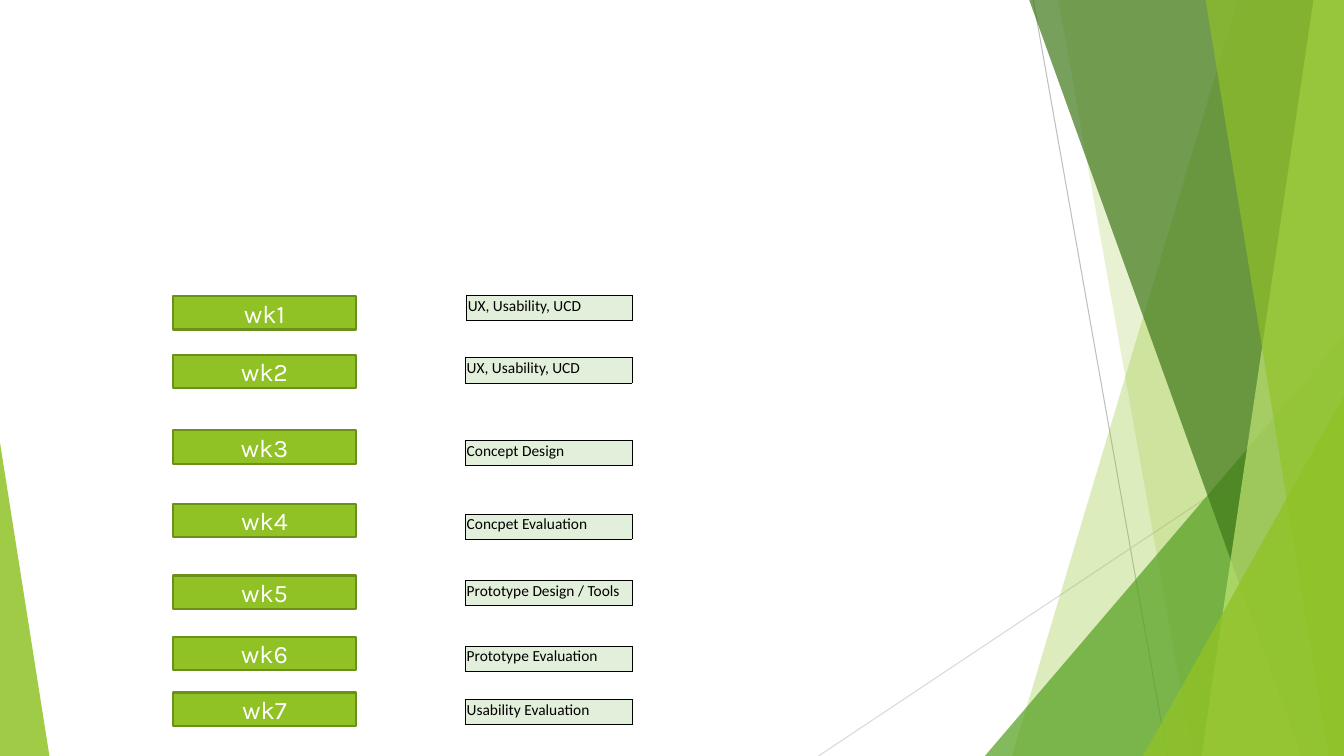
from dataclasses import dataclass

from lxml.etree import SubElement
from pptx import Presentation
from pptx.dml.color import RGBColor
from pptx.enum.shapes import MSO_CONNECTOR, MSO_SHAPE
from pptx.enum.text import MSO_ANCHOR, PP_ALIGN
from pptx.oxml import parse_xml
from pptx.oxml.ns import nsdecls, qn
from pptx.util import Inches, Pt

WIDE, HIGH = Inches(13.33), Inches(7.5)


@dataclass(frozen=True)
class Theme:
    lime: str = "90C226"
    leaf: str = "54A021"
    pine: str = "3F7819"
    pale: str = "C0E474"
    edge: str = "6B901C"
    mint: str = "E2EFDA"
    ink: str = "000000"
    white: str = "FFFFFF"
    gray: str = "BFBFBF"
    silver: str = "D9D9D9"
    week_font: str = "Karla"
    topic_font: str = "Calibri"
    week_size: float = 18
    topic_size: float = 11
    hair: float = 0.75
    border: float = 0.5
    frame: float = 1.5


@dataclass(frozen=True)
class Ray:
    start: tuple[float, float]
    end: tuple[float, float]
    color: str


@dataclass(frozen=True)
class Facet:
    top: float
    base: float
    color: str
    alpha: int


@dataclass(frozen=True)
class Wedge:
    left: float
    top: float
    width: float
    apex: float
    color: str
    alpha: int


@dataclass(frozen=True)
class Week:
    top: float
    topic_top: float
    topic: str
    topic_left: float = 34.65


THEME = Theme()
WEEK_LEFT, WEEK_WIDTH, WEEK_HEIGHT = 12.9, 13.58, 4.4
TOPIC_RIGHT, TOPIC_HEIGHT = 47.03, 3.2

RAYS = (
    Ray((76.88, 0), (86.85, 100), THEME.gray),
    Ray((100, 53.73), (60.9, 100), THEME.silver),
)
PANES = (
    Facet(92.1, 75.3, THEME.lime, 30),
    Facet(78.75, 88.73, THEME.lime, 20),
    Wedge(73.28, 44.4, 26.72, 1, THEME.leaf, 72),
    Facet(76.58, 96.83, THEME.pine, 70),
    Facet(97.73, 89.4, THEME.pale, 70),
    Facet(89.7, 98.85, THEME.lime, 65),
    Wedge(85.05, 52.4, 14.95, 1, THEME.lime, 80),
    Wedge(0, 58.53, 3.68, 0, THEME.lime, 85),
)
WEEKS = (
    Week(39.2, 39.07, "UX, Usability, UCD", 34.73),
    Week(46.93, 47.33, "UX, Usability, UCD"),
    Week(56.93, 58.27, "Concept Design"),
    Week(66.67, 68, "Concpet Evaluation"),
    Week(76.13, 76.8, "Prototype Design / Tools"),
    Week(84.27, 85.47, "Prototype Evaluation"),
    Week(91.6, 92.53, "Usability Evaluation"),
)


def across(share: float) -> int:
    return round(WIDE * share / 100)


def down(share: float) -> int:
    return round(HIGH * share / 100)


def tint(color: str) -> RGBColor:
    return RGBColor.from_string(color)


def paint(shape, color: str, alpha: int = 100) -> None:
    shape.shadow.inherit = False
    shape.fill.solid()
    shape.fill.fore_color.rgb = tint(color)
    shape.line.fill.background()
    if alpha < 100:
        clear = shape.element.spPr.find(qn("a:solidFill"))[0]
        SubElement(clear, qn("a:alpha"), val=str(alpha * 1000))


def write(para, text: str, font: str, size: float, color: str) -> None:
    para.text = text
    para.font.name = font
    para.font.size = Pt(size)
    para.font.color.rgb = tint(color)


def draw_ray(shapes, ray: Ray) -> None:
    (left, top), (right, base) = ray.start, ray.end
    line = shapes.add_connector(MSO_CONNECTOR.STRAIGHT, across(left), down(top),
                                across(right), down(base))
    line.line.color.rgb = tint(ray.color)
    line.line.width = Pt(THEME.hair)
    SubElement(line.element.spPr, qn("a:effectLst"))


def draw_pane(shapes, pane: Facet | Wedge) -> None:
    if isinstance(pane, Facet):
        pen = shapes.build_freeform(across(pane.top), 0)
        pen.add_line_segments([(WIDE, 0), (WIDE, HIGH), (across(pane.base), HIGH)])
        shape = pen.convert_to_shape()
    else:
        shape = shapes.add_shape(MSO_SHAPE.ISOSCELES_TRIANGLE, across(pane.left), down(pane.top),
                                 across(pane.width), down(100 - pane.top))
        shape.adjustments[0] = pane.apex
    paint(shape, pane.color, pane.alpha)


def draw_topic(shapes, week: Week) -> None:
    table = shapes.add_table(1, 1, across(week.topic_left), down(week.topic_top),
                             across(TOPIC_RIGHT - week.topic_left), down(TOPIC_HEIGHT)).table
    table.first_row = table.horz_banding = False
    cell = table.cell(0, 0)
    cell.margin_left = cell.margin_right = cell.margin_top = Inches(0.01)
    cell.margin_bottom = Inches(0.05)
    cell.vertical_anchor = MSO_ANCHOR.BOTTOM
    cell.fill.solid()
    cell.fill.fore_color.rgb = tint(THEME.mint)
    props = cell.text_frame.paragraphs[0]
    write(props, week.topic, THEME.topic_font, THEME.topic_size, THEME.ink)
    frame = table.cell(0, 0).fill
    frame.fore_color.rgb = tint(THEME.mint)
    edges = table.rows[0].cells[0].text_frame._txBody.getparent().find(qn("a:tcPr"))
    for place, side in enumerate("LRTB"):
        edges.insert(place, parse_xml(
            f'<a:ln{side} {nsdecls("a")} w="{Pt(THEME.border)}"><a:solidFill>'
            f'<a:srgbClr val="{THEME.ink}"/></a:solidFill></a:ln{side}>'))


def draw_week(shapes, number: int, week: Week) -> None:
    box = shapes.add_shape(MSO_SHAPE.RECTANGLE, across(WEEK_LEFT), down(week.top),
                           across(WEEK_WIDTH), down(WEEK_HEIGHT))
    paint(box, THEME.lime)
    box.line.color.rgb = tint(THEME.edge)
    box.line.width = Pt(THEME.frame)
    box.text_frame.vertical_anchor = MSO_ANCHOR.MIDDLE
    para = box.text_frame.paragraphs[0]
    para.alignment = PP_ALIGN.CENTER
    write(para, f"wk{number}", THEME.week_font, THEME.week_size, THEME.white)


def main() -> None:
    deck = Presentation()
    deck.slide_width, deck.slide_height = WIDE, HIGH
    slide = deck.slides.add_slide(deck.slide_layouts[6])
    slide.background.fill.solid()
    slide.background.fill.fore_color.rgb = tint(THEME.white)
    for ray in RAYS:
        draw_ray(slide.shapes, ray)
    for pane in PANES:
        draw_pane(slide.shapes, pane)
    for number, week in enumerate(WEEKS, 1):
        draw_topic(slide.shapes, week)
        draw_week(slide.shapes, number, week)
    deck.save("out.pptx")


if __name__ == "__main__":
    main()
